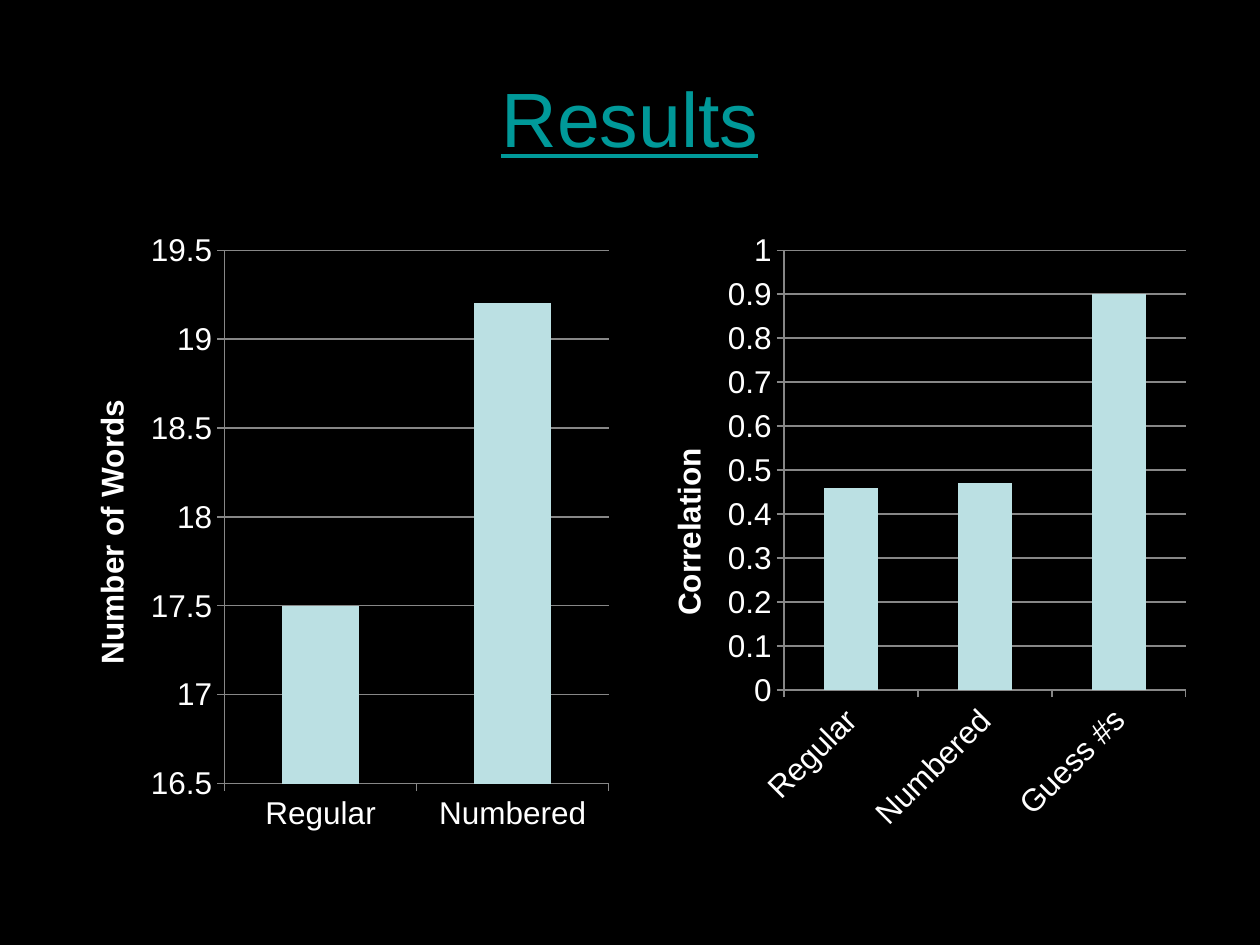
import pptx
import pptx.chart.data
import pptx.dml.color
import pptx.enum.chart
import pptx.enum.text
import pptx.util

SCALE = 914400 / 126
FONT = "Arial"
COLORS = {"back": "000000", "title": "009999", "text": "FFFFFF",
          "bar": "BBE0E3", "line": "878787"}


def emu(*sizes):
    return [pptx.util.Emu(round(size * SCALE)) for size in sizes]


def color(name):
    return pptx.dml.color.RGBColor.from_string(COLORS[name])


class Deck:
    def __init__(self, width, height):
        self.file = pptx.Presentation()
        self.file.slide_width, self.file.slide_height = emu(width, height)

    def add_slide(self):
        self.slide = self.file.slides.add_slide(self.file.slide_layouts[6])
        fill = self.slide.background.fill
        fill.solid()
        fill.fore_color.rgb = color("back")

    def style(self, font, size, name):
        font.name = FONT
        font.size = pptx.util.Pt(size)
        font.color.rgb = color(name)

    def title(self, text, *box):
        frame = self.slide.shapes.add_textbox(*emu(*box)).text_frame
        frame.word_wrap = True
        frame.vertical_anchor = pptx.enum.text.MSO_ANCHOR.MIDDLE
        para = frame.paragraphs[0]
        para.text = text
        para.alignment = pptx.enum.text.PP_ALIGN.CENTER
        self.style(para.font, 44, "title")
        para.font.underline = True

    def axis(self, axis):
        axis.major_tick_mark = pptx.enum.chart.XL_TICK_MARK.OUTSIDE
        axis.minor_tick_mark = pptx.enum.chart.XL_TICK_MARK.NONE
        axis.format.line.color.rgb = color("line")
        self.style(axis.tick_labels.font, 18, "text")

    def columns(self, label, values, limits, step, *box):
        """Add a column chart of values, a dict from category to number."""
        data = pptx.chart.data.CategoryChartData()
        data.categories = list(values)
        data.add_series("Series 1", list(values.values()))
        chart = self.slide.shapes.add_chart(
            pptx.enum.chart.XL_CHART_TYPE.COLUMN_CLUSTERED,
            *emu(*box), data).chart
        chart.has_title = chart.has_legend = False
        self.style(chart.font, 18, "text")

        plot = chart.plots[0]
        plot.gap_width = 150
        plot.vary_by_categories = False
        fill = plot.series[0].format.fill
        fill.solid()
        fill.fore_color.rgb = color("bar")

        self.axis(chart.category_axis)
        scale = chart.value_axis
        self.axis(scale)
        scale.minimum_scale, scale.maximum_scale = limits
        scale.major_unit = step
        scale.major_gridlines.format.line.color.rgb = color("line")
        frame = scale.axis_title.text_frame
        frame.text = label
        frame._txBody.bodyPr.set("rot", "-5400000")
        font = frame.paragraphs[0].font
        self.style(font, 18, "text")
        font.bold = True


def main():
    deck = Deck(1260, 945)
    deck.add_slide()
    deck.title("Results", 63, 38, 1134, 158)
    charts = [
        ("Number of Words", {"Regular": 17.5, "Numbered": 19.2},
         (16.5, 19.5), 0.5),
        ("Correlation", {"Regular": 0.46, "Numbered": 0.47, "Guess #s": 0.9},
         (0, 1), 0.1),
    ]
    for i, chart in enumerate(charts):
        deck.columns(*chart, 63 + 577 * i, 220, 557, 624)
    deck.file.save("out.pptx")


if __name__ == "__main__":
    main()
